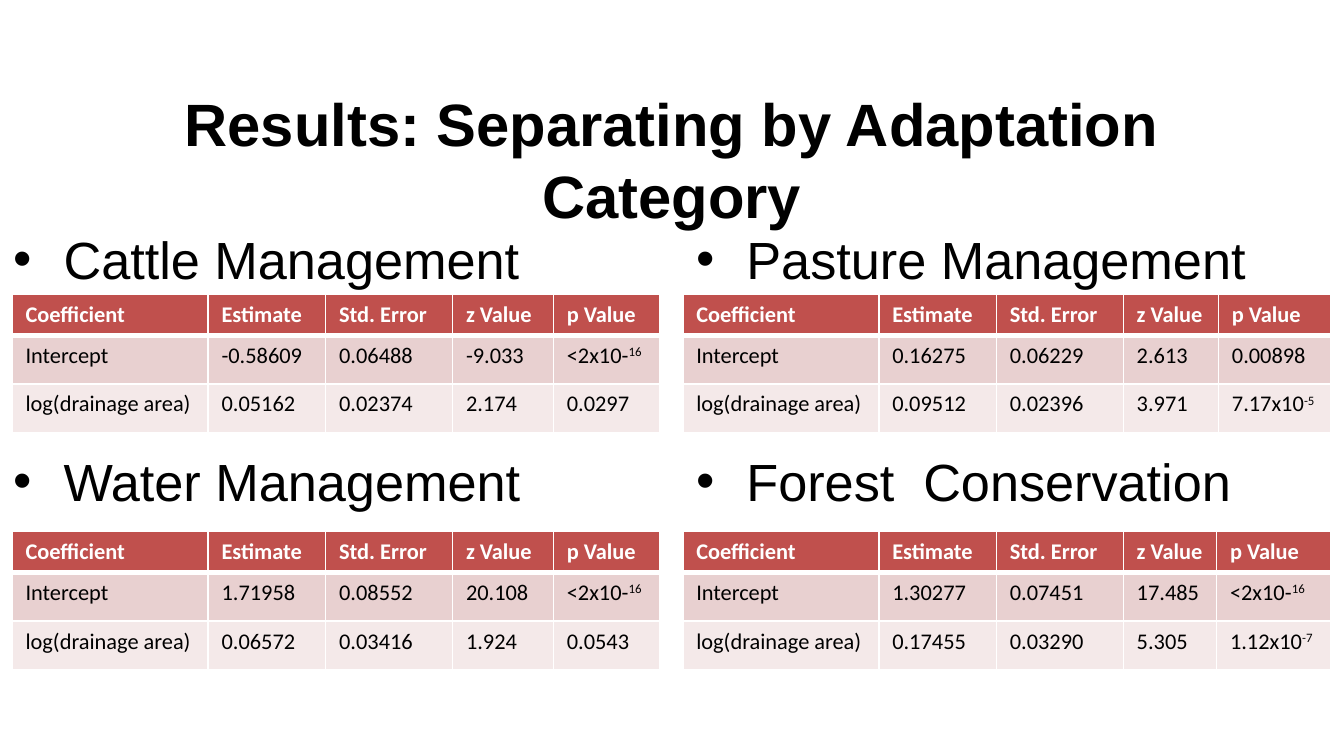
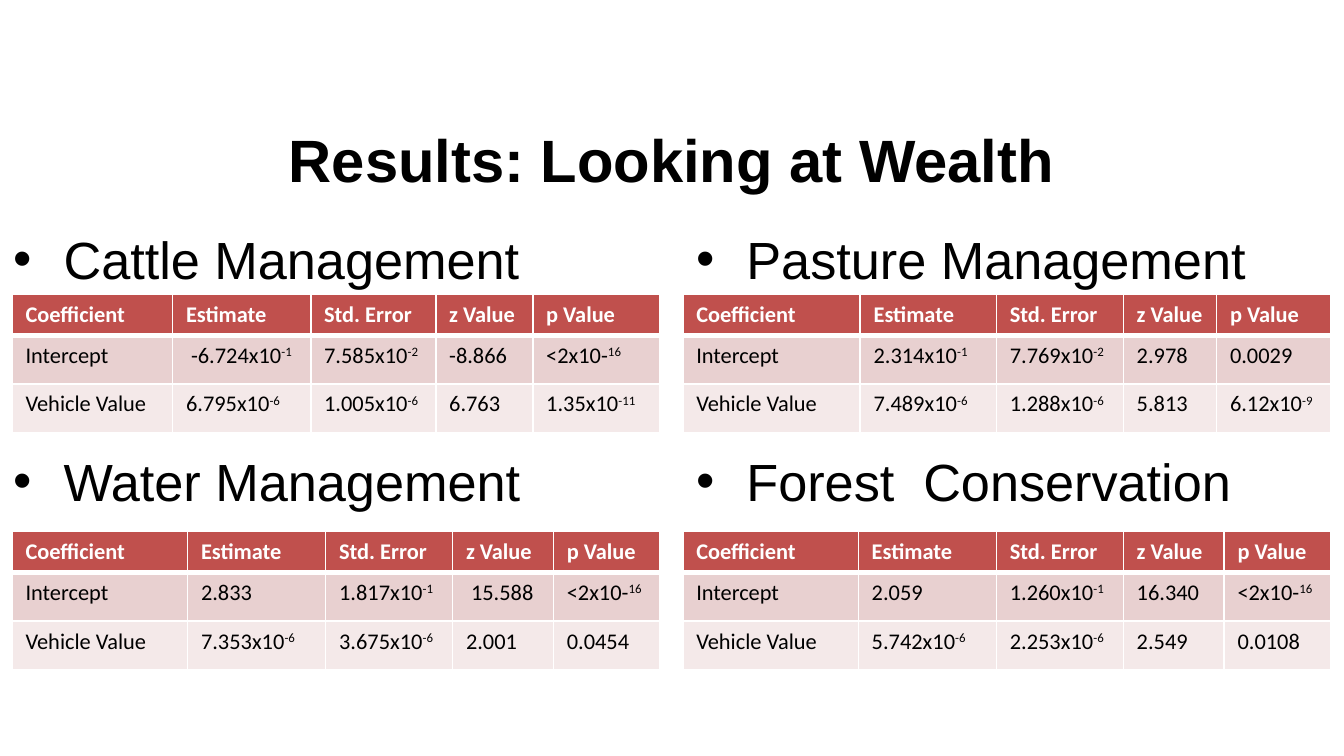
import dataclasses

import pptx
import pptx.dml.color
import pptx.enum.text
import pptx.oxml.ns
import pptx.util
from lxml import etree

Pt = pptx.util.Pt


@dataclasses.dataclass(frozen=True)
class Theme:
    """Colours, fonts and type sizes shared by the slides."""
    ink: str = "000000"
    paper: str = "FFFFFF"
    header: str = "C0504D"
    bands: tuple = ("E8D0D0", "F4E9E9")
    display_font: str = "Arial"
    table_font: str = "Calibri"
    title_size: int = 32
    heading_size: int = 28
    table_size: int = 12
    thin_rule: int = 1
    thick_rule: int = 3


THEME = Theme()
PAGE_SIZE = (720, 405)
COLUMN_LEFTS = (6.5, 365.8)
TABLE_TOPS = (157.7, 284.8)
ROW_HEIGHTS = (21.8, 26.2, 26.2)
HEADING_BOXES = ((0, 116, 354, 245), (365.8, 116, 330, 245))
HEADING_GAP = 85.7
HEADING_INDENT = 27
HEADINGS = (
    ("Cattle Management", "Water Management"),
    ("Pasture Management", "Forest  Conservation"),
)
TABLE_HEADER = ("Coefficient", "Estimate", "Std. Error", "z Value", "p Value")

RESULTS = (
    ("Results: Separating by Adaptation Category", "log(drainage area)", (
        ((105, 63, 68, 54, 57),
         ("-0.58609", "0.06488", "-9.033", "<2x10-^16"),
         ("0.05162", "0.02374", "2.174", "0.0297")),
        ((105, 63, 68, 51, 60),
         ("0.16275", "0.06229", "2.613", "0.00898"),
         ("0.09512", "0.02396", "3.971", "7.17x10^-5")),
        ((105, 63, 68, 54, 57),
         ("1.71958", "0.08552", "20.108", "<2x10-^16"),
         ("0.06572", "0.03416", "1.924", "0.0543")),
        ((105, 63, 68, 50, 61),
         ("1.30277", "0.07451", "17.485", "<2x10-^16"),
         ("0.17455", "0.03290", "5.305", "1.12x10^-7")),
    )),
    ("Results: Looking at Wealth", "Vehicle Value", (
        ((86, 74, 67, 52, 68),
         (" -6.724x10^-1", "7.585x10^-2", "-8.866", "<2x10-^16"),
         ("6.795x10^-6", "1.005x10^-6", "6.763", "1.35x10^-11")),
        ((95, 73, 68, 50, 61),
         ("2.314x10^-1", "7.769x10^-2", "2.978", "0.0029"),
         ("7.489x10^-6", "1.288x10^-6", "5.813", "6.12x10^-9")),
        ((94, 74, 68, 54, 57),
         ("2.833", "1.817x10^-1", " 15.588", "<2x10-^16"),
         ("7.353x10^-6", "3.675x10^-6", "2.001", "0.0454")),
        ((94, 74, 68, 54, 57),
         ("2.059", "1.260x10^-1", "16.340", "<2x10-^16"),
         ("5.742x10^-6", "2.253x10^-6", "2.549", "0.0108")),
    )),
)


def set_format(target, formats):
    """Set each named attribute of the target."""
    for name, value in formats.items():
        setattr(target, name, value)


def rgb(colour):
    """Turn a hex string into a colour value."""
    return pptx.dml.color.RGBColor.from_string(colour)


def add_span(para, text, colour, **formats):
    """Add a run of text with its font format."""
    span = para.add_run()
    span.text = text
    set_format(span.font, formats)
    span.font.color.rgb = rgb(colour)
    return span


def add_child(parent, tag, **attributes):
    """Append a drawing element to its parent."""
    return etree.SubElement(parent, pptx.oxml.ns.qn(tag), attributes)


def add_title(page, text):
    """Place and fill the slide title."""
    title = page.shapes.title
    set_format(title, {"left": Pt(36), "top": Pt(53.3), "width": Pt(648), "height": Pt(63.4)})
    set_format(title.text_frame, {
        "word_wrap": True,
        "auto_size": pptx.enum.text.MSO_AUTO_SIZE.NONE,
        "vertical_anchor": pptx.enum.text.MSO_ANCHOR.MIDDLE,
    })
    para = title.text_frame.paragraphs[0]
    para.alignment = pptx.enum.text.PP_ALIGN.CENTER
    add_span(para, text, THEME.ink, name=THEME.display_font, size=Pt(THEME.title_size), bold=True)


def add_headings(page, bounds, headings):
    """Add one column of bulleted headings, spaced to sit above its tables."""
    box = page.shapes.add_textbox(*map(Pt, bounds))
    set_format(box.text_frame, {"word_wrap": True, "margin_top": Pt(5.5)})
    for index, text in enumerate(headings):
        para = box.text_frame.add_paragraph() if index else box.text_frame.paragraphs[0]
        properties = para._p.get_or_add_pPr()
        properties.set("marL", str(Pt(HEADING_INDENT)))
        properties.set("indent", str(-Pt(HEADING_INDENT)))
        add_child(properties, "a:buFont", typeface=THEME.display_font)
        add_child(properties, "a:buChar", char="•")
        if index:
            para.space_before = Pt(HEADING_GAP)
        add_span(para, text, THEME.ink, name=THEME.display_font, size=Pt(THEME.heading_size))


def set_borders(cell, row_index):
    """Draw white cell borders, thick between the header and the body."""
    thick_sides = {0: "B", 1: "T"}
    for side in "LRTB":
        width = THEME.thick_rule if thick_sides.get(row_index) == side else THEME.thin_rule
        line = add_child(cell._tc.get_or_add_tcPr(), f"a:ln{side}", w=str(Pt(width)))
        add_child(add_child(line, "a:solidFill"), "a:srgbClr", val=THEME.paper)


def fill_cell(cell, text, row_index):
    """Style a cell and write its text, raising what follows a caret."""
    is_header = row_index == 0
    set_borders(cell, row_index)
    cell.fill.solid()
    cell.fill.fore_color.rgb = rgb(THEME.header if is_header else THEME.bands[row_index - 1])
    formats = {"name": THEME.table_font, "size": Pt(THEME.table_size), "bold": is_header}
    colour = THEME.paper if is_header else THEME.ink
    base, _, exponent = text.partition("^")
    para = cell.text_frame.paragraphs[0]
    add_span(para, base, colour, **formats)
    if exponent:
        span = add_span(para, exponent, colour, **formats)
        span._r.get_or_add_rPr().set("baseline", "30000")


def add_coefficients(page, left, top, widths, rows):
    """Add a table of model coefficients."""
    frame = page.shapes.add_table(len(rows), len(widths), Pt(left), Pt(top),
                                  Pt(sum(widths)), Pt(sum(ROW_HEIGHTS)))
    table = frame.table
    table.horz_banding = False
    for column, width in zip(table.columns, widths):
        column.width = Pt(width)
    for row_index, (height, texts) in enumerate(zip(ROW_HEIGHTS, rows)):
        table.rows[row_index].height = Pt(height)
        for column_index, text in enumerate(texts):
            fill_cell(table.cell(row_index, column_index), text, row_index)


def add_results(deck, title, predictor, models):
    """Add a slide with a two by two grid of model results."""
    page = deck.slides.add_slide(deck.slide_layouts[5])
    add_title(page, title)
    for bounds, headings in zip(HEADING_BOXES, HEADINGS):
        add_headings(page, bounds, headings)
    for index, (widths, intercept, slope) in enumerate(models):
        grid_row, grid_column = divmod(index, 2)
        rows = (TABLE_HEADER, ("Intercept", *intercept), (predictor, *slope))
        add_coefficients(page, COLUMN_LEFTS[grid_column], TABLE_TOPS[grid_row], widths, rows)


def main():
    """Build and save the deck."""
    deck = pptx.Presentation()
    deck.slide_width, deck.slide_height = map(Pt, PAGE_SIZE)
    for title, predictor, models in RESULTS:
        add_results(deck, title, predictor, models)
    deck.save("out.pptx")


if __name__ == "__main__":
    main()
